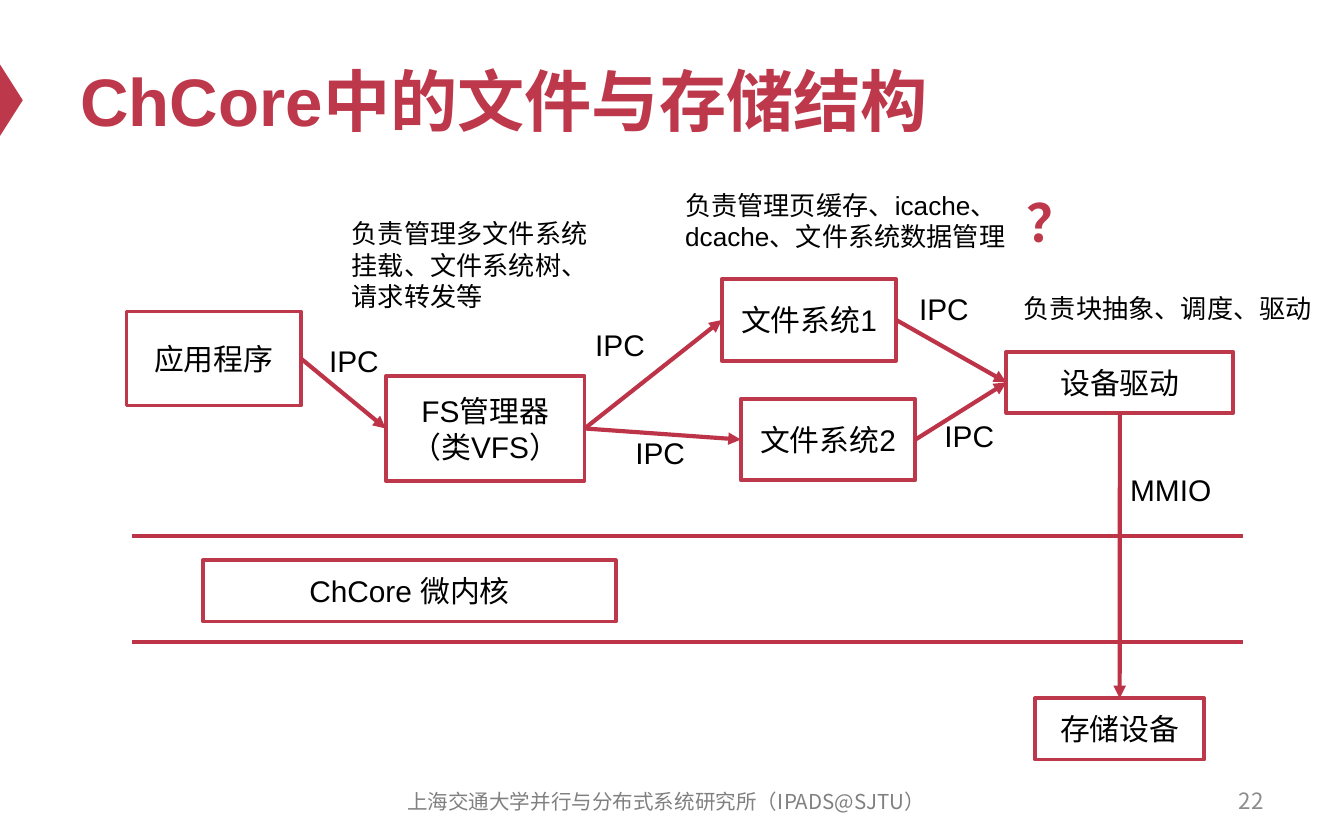
import pptx
import pptx.util
import pptx.dml.color
import pptx.enum.shapes
import pptx.enum.text
import pptx.oxml.ns
import lxml.etree

Cm, Pt = pptx.util.Cm, pptx.util.Pt
SHAPE = pptx.enum.shapes.MSO_SHAPE
ALIGN = pptx.enum.text.PP_ALIGN
ANCHOR = pptx.enum.text.MSO_ANCHOR
qn = pptx.oxml.ns.qn

HUES = {"red": "BE384B", "line": "BD3347", "white": "FFFFFF",
        "black": "000000", "gray": "808080", "pale": "8C8C8C"}
CJK = "Noto Sans CJK SC"
TOP, LEFT, BOTTOM, RIGHT = range(4)


def hue(name):
    return pptx.dml.color.RGBColor.from_string(HUES[name])


class Deck:
    """Holds the style and the current slide."""

    base = {"name": "Arial", "size": Pt(16), "bold": False}

    def __init__(self, wide, high):
        self.file = pptx.Presentation()
        self.file.slide_width, self.file.slide_height = wide, high
        self.slide = self.file.slides.add_slide(self.file.slide_layouts[6])

    def fill_text(self, frame, text, color="black", align=ALIGN.LEFT,
                  anchor=ANCHOR.TOP, wrap=True, **style):
        frame.word_wrap = wrap
        frame.vertical_anchor = anchor
        for i, line in enumerate(text.split("\n")):
            para = frame.add_paragraph() if i else frame.paragraphs[0]
            para.alignment = align
            run = para.add_run()
            run.text = line
            for key, value in {**self.base, **style}.items():
                setattr(run.font, key, value)
            run.font.color.rgb = hue(color)
            # East Asian typeface follows the Latin one
            face = lxml.etree.Element(qn("a:ea"), typeface=CJK)
            run.font._element.find(qn("a:latin")).addnext(face)

    def text(self, x, y, w, h, text, **style):
        box = self.slide.shapes.add_textbox(Cm(x), Cm(y), Cm(w), Cm(h))
        self.fill_text(box.text_frame, text, **style)

    def shape(self, kind, x, y, w, h, fill):
        item = self.slide.shapes.add_shape(kind, Cm(x), Cm(y), Cm(w), Cm(h))
        item.shadow.inherit = False
        item.fill.solid()
        item.fill.fore_color.rgb = hue(fill)
        return item

    def mark(self, x, y, w, h):
        item = self.shape(SHAPE.ISOSCELES_TRIANGLE, x, y, w, h, "red")
        item.line.fill.background()
        item.rotation = 90

    def box(self, x, y, w, h, text):
        item = self.shape(SHAPE.RECTANGLE, x, y, w, h, "white")
        item.line.color.rgb = hue("red")
        item.line.width = Pt(2)
        self.fill_text(item.text_frame, text, align=ALIGN.CENTER,
                       anchor=ANCHOR.MIDDLE)
        return item

    def line(self, x1=0, y1=0, x2=0, y2=0):
        item = self.slide.shapes.add_connector(
            pptx.enum.shapes.MSO_CONNECTOR.STRAIGHT,
            Cm(x1), Cm(y1), Cm(x2), Cm(y2))
        item.line.color.rgb = hue("line")
        item.line.width = Pt(2.25)
        lxml.etree.SubElement(item._element.spPr, qn("a:effectLst"))
        return item

    def arrow(self, start, out, end, into):
        item = self.line()
        item.begin_connect(start, out)
        item.end_connect(end, into)
        lxml.etree.SubElement(item.line._get_or_add_ln(), qn("a:tailEnd"),
                              type="triangle")


def main():
    deck = Deck(Cm(25.4), Cm(15.88))

    # Title and footer
    deck.mark(-0.46, 1.68, 1.35, 0.43)
    deck.text(1.27, 0.64, 22.86, 2.49, "ChCore中的文件与存储结构", color="red",
              anchor=ANCHOR.MIDDLE, size=Pt(36), bold=True)
    deck.text(7.09, 14.73, 11, 0.84, "上海交通大学并行与分布式系统研究所（IPADS@SJTU）",
              color="gray", align=ALIGN.CENTER, anchor=ANCHOR.MIDDLE,
              name=CJK, size=Pt(11))
    deck.text(18.21, 14.71, 5.92, 0.84, "22", color="pale", align=ALIGN.RIGHT,
              anchor=ANCHOR.MIDDLE, name=CJK, size=Pt(12))

    # Kernel layer between two rules
    for y in (10.13, 12.14):
        deck.line(2.49, y, 23.5, y)
    deck.box(3.84, 10.59, 7.8, 1.16, "ChCore 微内核")

    # Components
    app = deck.box(2.39, 5.89, 3.3, 1.78, "应用程序")
    vfs = deck.box(7.29, 7.11, 3.76, 1.98, "FS管理器\n（类VFS）")
    fs1 = deck.box(13.64, 5.28, 3.3, 1.54, "文件系统1")
    fs2 = deck.box(14, 7.54, 3.3, 1.54, "文件系统2")
    drive = deck.box(19.02, 6.65, 4.29, 1.16, "设备驱动")
    store = deck.box(19.56, 13.2, 3.2, 1.16, "存储设备")

    # Calls from one component to the next
    for start, end in ((app, vfs), (vfs, fs2), (vfs, fs1),
                       (fs2, drive), (fs1, drive)):
        deck.arrow(start, RIGHT, end, LEFT)
    deck.arrow(drive, BOTTOM, store, TOP)

    # Arrow labels
    for x, y in ((5.97, 6.35), (11, 6.05), (11.76, 8.1),
                 (17.12, 5.38), (17.6, 7.77)):
        deck.text(x, y, 1.47, 0.94, "IPC", wrap=False)
    deck.text(21.11, 8.79, 2.08, 0.94, "MMIO", wrap=False)

    # Notes on each role
    for x, y, w, h, note in (
            (6.4, 3.99, 5.18, 2.06, "负责管理多文件系统\n挂载、文件系统树、请求转发等"),
            (12.7, 3.45, 7.04, 1.45, "负责管理页缓存、icache、dcache、文件系统数据管理"),
            (19.1, 5.41, 6.3, 0.86, "负责块抽象、调度、驱动")):
        deck.text(x, y, w, h, note, size=Pt(14))
    deck.text(19.15, 3.48, 1.5, 1.45, "？", color="red", wrap=False,
              size=Pt(28), bold=True)

    deck.file.save("out.pptx")


if __name__ == "__main__":
    main()
